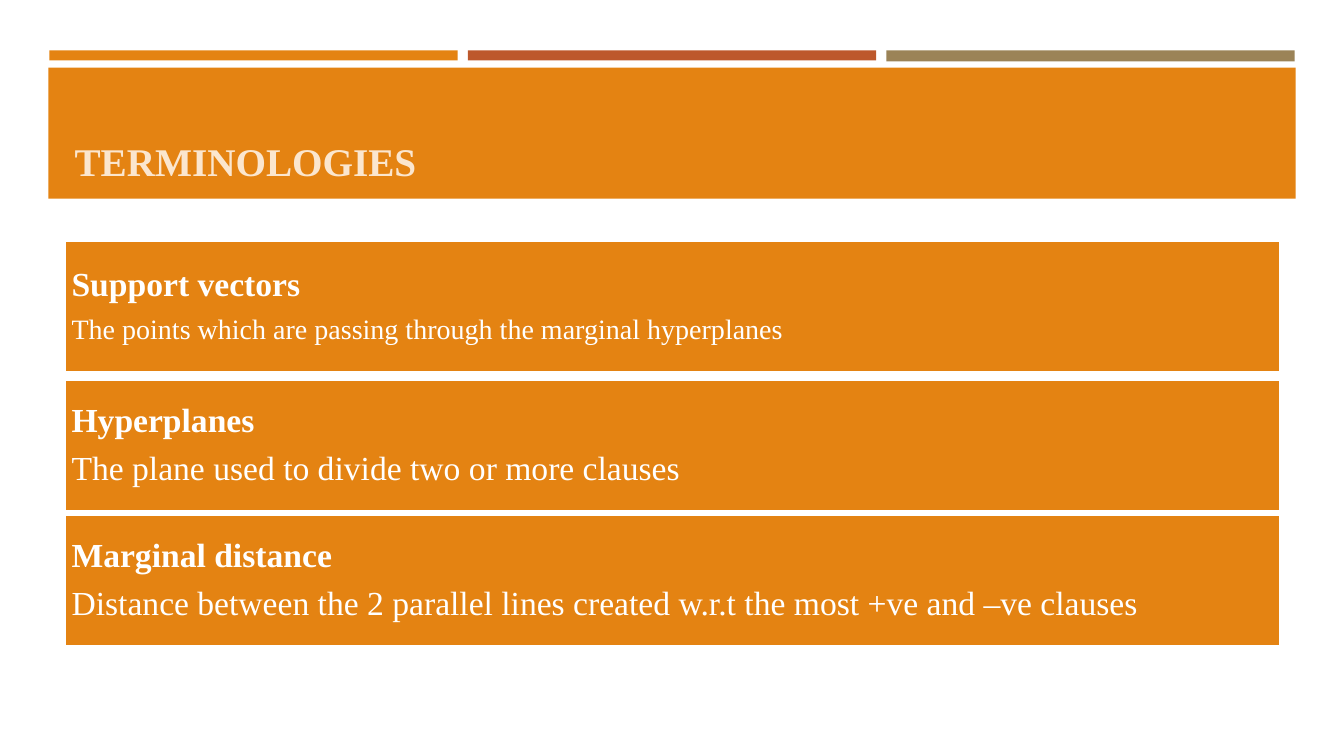
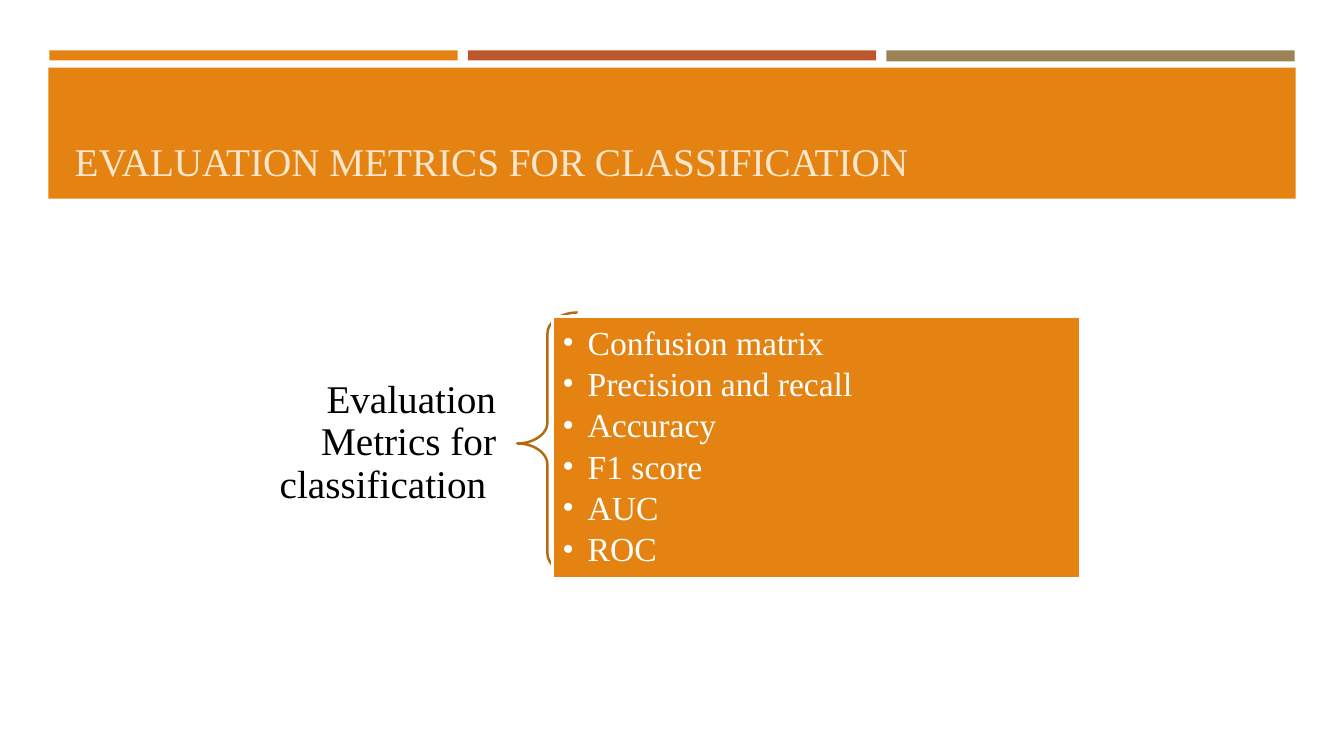
from dataclasses import dataclass
from typing import Any

from lxml.etree import SubElement
from pptx import Presentation
from pptx.dml.color import RGBColor
from pptx.enum.shapes import MSO_SHAPE
from pptx.enum.text import MSO_ANCHOR, PP_ALIGN
from pptx.oxml.ns import qn
from pptx.util import Emu, Pt

# Scale: 100 px to the inch
EMU_PER_PX = 9144

ORANGE = RGBColor(0xE4, 0x83, 0x12)
RUST = RGBColor(0xBD, 0x58, 0x2C)
KHAKI = RGBColor(0x9B, 0x83, 0x57)
BROWN = RGBColor(0xB7, 0x69, 0x0E)
CREAM = RGBColor(0xFB, 0xE6, 0xCE)
WHITE = RGBColor(0xFF, 0xFF, 0xFF)
BLACK = RGBColor(0, 0, 0)
FONT = "Times New Roman"


@dataclass(frozen=True)
class Box:
    left: int
    top: int
    width: int
    height: int

    def emu(self) -> tuple[Emu, ...]:
        return tuple(Emu(n * EMU_PER_PX)
                     for n in (self.left, self.top, self.width, self.height))


@dataclass(frozen=True)
class Line:
    text: str
    size: int = 24
    bold: bool = False
    color: RGBColor = WHITE


@dataclass(frozen=True)
class Term:
    top: int
    name: str
    meaning: str
    meaning_size: int = 24


TITLE_BOX = Box(64, 77, 1206, 111)
TITLE_BAND = Box(48, 67, 1237, 130)
STRIPE_LEFT, STRIPE_STEP, STRIPE_WIDTH = 49, 415, 405
STRIPES = ((ORANGE, 10), (RUST, 10), (KHAKI, 11))

TERMS = (
    Term(239, "Support vectors",
         "The points which are passing through the marginal hyperplanes", 20),
    Term(377, "Hyperplanes", "The plane used to divide two or more clauses"),
    Term(511, "Marginal distance",
         "Distance between the 2 parallel lines created w.r.t the most +ve and –ve clauses"),
)
METRICS = ("Confusion matrix", "Precision and recall", "Accuracy",
           "F1 score", "AUC", "ROC")


def apply(target: Any, values: dict[str, Any]) -> None:
    for name, value in values.items():
        setattr(target, name, value)


def add_panel(slide: Any, box: Box, fill: RGBColor | None = ORANGE,
              line: RGBColor | None = None, line_width: float = 1.75,
              kind: MSO_SHAPE = MSO_SHAPE.RECTANGLE) -> Any:
    panel = slide.shapes.add_shape(kind, *box.emu())
    panel.shadow.inherit = False
    if fill is None:
        panel.fill.background()
    else:
        panel.fill.solid()
        panel.fill.fore_color.rgb = fill
    if line is None:
        panel.line.fill.background()
    else:
        panel.line.color.rgb = line
        panel.line.width = Pt(line_width)
    return panel


def add_run(paragraph: Any, line: Line) -> None:
    run = paragraph.add_run()
    run.text = line.text
    apply(run.font, {"name": FONT, "size": Pt(line.size), "bold": line.bold})
    run.font.color.rgb = line.color


def write_lines(shape: Any, lines: list[Line], inset_x: int, inset_y: int,
                after_percent: int, align: PP_ALIGN = PP_ALIGN.LEFT,
                bullet_indent: int = 0) -> None:
    frame = shape.text_frame
    side, edge = Emu(inset_x * EMU_PER_PX), Emu(inset_y * EMU_PER_PX)
    apply(frame, {"word_wrap": True, "vertical_anchor": MSO_ANCHOR.MIDDLE,
                  "margin_left": side, "margin_right": side,
                  "margin_top": edge, "margin_bottom": edge})
    for index, line in enumerate(lines):
        paragraph = frame.add_paragraph() if index else frame.paragraphs[0]
        apply(paragraph, {"alignment": align, "line_spacing": 0.9})
        add_run(paragraph, line)
        # Spacing relative to the text size, then the bullet
        properties = paragraph._p.get_or_add_pPr()
        after = SubElement(properties, qn("a:spcAft"))
        SubElement(after, qn("a:spcPct")).set("val", str(after_percent * 1000))
        if bullet_indent:
            indent = bullet_indent * EMU_PER_PX
            properties.set("marL", str(indent))
            properties.set("indent", str(-indent))
            SubElement(properties, qn("a:buFont")).set("typeface", FONT)
            SubElement(properties, qn("a:buChar")).set("char", "•")


def add_header(slide: Any, title: Line) -> None:
    # Stripes and band
    for index, (color, height) in enumerate(STRIPES):
        left = STRIPE_LEFT + index * STRIPE_STEP
        add_panel(slide, Box(left, 50, STRIPE_WIDTH, height), color)
    add_panel(slide, TITLE_BAND)
    # Title, brought in front of the band
    heading = slide.shapes.title
    slide.shapes.element.append(heading.element)
    apply(heading, dict(zip(("left", "top", "width", "height"), TITLE_BOX.emu())))
    apply(heading.text_frame, {"vertical_anchor": MSO_ANCHOR.BOTTOM,
                               "word_wrap": True})
    paragraph = heading.text_frame.paragraphs[0]
    paragraph.alignment = PP_ALIGN.LEFT
    add_run(paragraph, title)


def add_terminologies(slide: Any) -> None:
    add_header(slide, Line("TERMINOLOGIES", 28, True, CREAM))
    for term in TERMS:
        card = add_panel(slide, Box(64, term.top, 1206, 130), line=WHITE)
        write_lines(card, [Line(term.name, bold=True),
                           Line(term.meaning, term.meaning_size)], 7, 7, 35)


def add_metrics(slide: Any) -> None:
    add_header(slide, Line("EVALUATION METRICS FOR CLASSIFICATION", 28, False, CREAM))
    # Topic on the left
    topic = slide.shapes.add_textbox(*Box(212, 369, 302, 141).emu())
    write_lines(topic, [Line("Evaluation Metrics for classification ", 28, False, BLACK)],
                22, 8, 35, PP_ALIGN.RIGHT)
    # Brace and list of metrics
    brace = add_panel(slide, Box(513, 310, 60, 260), None, BROWN,
                      kind=MSO_SHAPE.LEFT_BRACE)
    brace.adjustments[0] = 0.35
    metric_list = add_panel(slide, Box(548, 314, 524, 260), line=WHITE, line_width=2)
    write_lines(metric_list, [Line(metric) for metric in METRICS], 10, 10, 15,
                bullet_indent=25)


def main() -> None:
    deck = Presentation()
    apply(deck, {"slide_width": Emu(1333 * EMU_PER_PX),
                 "slide_height": Emu(750 * EMU_PER_PX)})
    title_only = deck.slide_layouts[5]
    for build in (add_terminologies, add_metrics):
        build(deck.slides.add_slide(title_only))
    deck.save("out.pptx")


if __name__ == "__main__":
    main()
